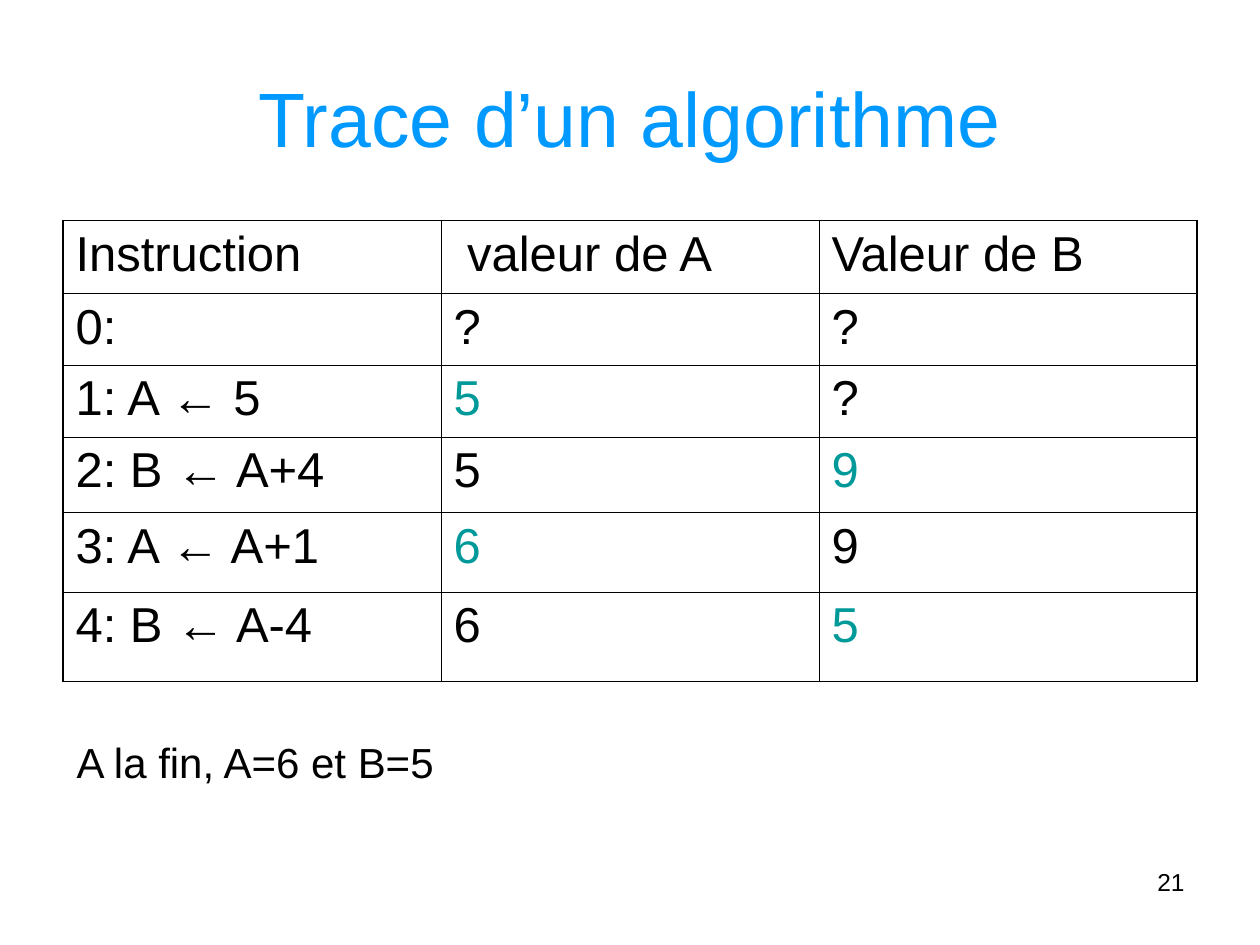
import pptx
import pptx.util
import pptx.dml.color
import pptx.enum.text
import pptx.oxml
import pptx.oxml.ns

Inches = pptx.util.Inches
Pt = pptx.util.Pt
ALIGN = pptx.enum.text.PP_ALIGN
ANCHOR = pptx.enum.text.MSO_ANCHOR

COLORS = {"title": "0099FF", "text": "000000", "changed": "009999",
          "border": "000000", "background": "FFFFFF"}
FONT = "Arial"
OUTER_WIDTH, INNER_WIDTH = 1.08, 0.45
ROW_HEIGHTS = [0.58, 0.57, 0.57, 0.6, 0.63, 0.71]
TRACE = [
    ["Instruction", " valeur de A", "Valeur de B"],
    ["0:", "?", "?"],
    ["1: A ← 5", "5", "?"],
    ["2: B ← A+4", "5", "9"],
    ["3: A ← A+1", "6", "9"],
    ["4: B ← A-4", "6", "5"],
]


def rgb(name):
    """Return the named colour."""
    return pptx.dml.color.RGBColor.from_string(COLORS[name])


def write_text(frame, text, size=28, color="text", align=ALIGN.LEFT,
               anchor=ANCHOR.TOP, space_before=0):
    """Write one formatted paragraph in a text frame."""
    frame.word_wrap = True
    frame.vertical_anchor = anchor
    paragraph = frame.paragraphs[0]
    paragraph.alignment = align
    paragraph.space_before = Pt(space_before)
    run = paragraph.add_run()
    run.text = text
    run.font.name = FONT
    run.font.size = Pt(size)
    run.font.bold = False
    run.font.color.rgb = rgb(color)


def add_label(slide, box, text, **text_format):
    """Add a text box at box: left, top, width, height in inches."""
    shape = slide.shapes.add_textbox(*map(Inches, box))
    write_text(shape.text_frame, text, **text_format)


def set_borders(cell, widths):
    """Draw the cell's left, right, top and bottom borders."""
    properties = cell._tc.get_or_add_tcPr()
    for index, (side, width) in enumerate(zip("LRTB", widths)):
        line = pptx.oxml.parse_xml(
            f'<a:ln{side} {pptx.oxml.ns.nsdecls("a")} w="{int(Pt(width))}">'
            f'<a:solidFill><a:srgbClr val="{COLORS["border"]}"/></a:solidFill>'
            f'</a:ln{side}>')
        properties.insert(index, line)


def add_title(slide, box, text):
    """Place and fill the title placeholder."""
    title = slide.shapes.title
    title.left, title.top, title.width, title.height = map(Inches, box)
    write_text(title.text_frame, text, size=44, color="title",
               align=ALIGN.CENTER, anchor=ANCHOR.MIDDLE)


def add_trace_table(slide, box, rows):
    """Add the trace table, highlighting each value that has just changed."""
    row_count, column_count = len(rows), len(rows[0])
    table = slide.shapes.add_table(row_count, column_count, *map(Inches, box)).table
    table.first_row = table.horz_banding = False
    for column in table.columns:
        column.width = Inches(box[2] / column_count)
    for row, height in zip(table.rows, ROW_HEIGHTS):
        row.height = Inches(height)
    for i, values in enumerate(rows):
        for j, value in enumerate(values):
            cell = table.cell(i, j)
            cell.fill.solid()
            cell.fill.fore_color.rgb = rgb("background")
            changed = i > 1 and j > 0 and value != rows[i - 1][j]
            write_text(cell.text_frame, value, space_before=7,
                       color="changed" if changed else "text")
            on_edge = [j == 0, j == column_count - 1, i == 0, i == row_count - 1]
            set_borders(cell, [OUTER_WIDTH if edge else INNER_WIDTH for edge in on_edge])


def main():
    """Build the slide and save the presentation."""
    presentation = pptx.Presentation()
    presentation.slide_width, presentation.slide_height = Inches(10), Inches(7.5)
    slide = presentation.slides.add_slide(presentation.slide_layouts[5])
    add_title(slide, (0.5, 0.3, 9, 1.25), "Trace d’un algorithme")
    add_trace_table(slide, (0.5, 1.75, 9, sum(ROW_HEIGHTS)), TRACE)
    add_label(slide, (0.51, 5.8, 7.87, 0.5), "A la fin, A=6 et B=5",
              size=24, space_before=15)
    add_label(slide, (7.17, 6.83, 2.33, 0.52), "21", size=14, align=ALIGN.RIGHT)
    presentation.save("out.pptx")


if __name__ == "__main__":
    main()
